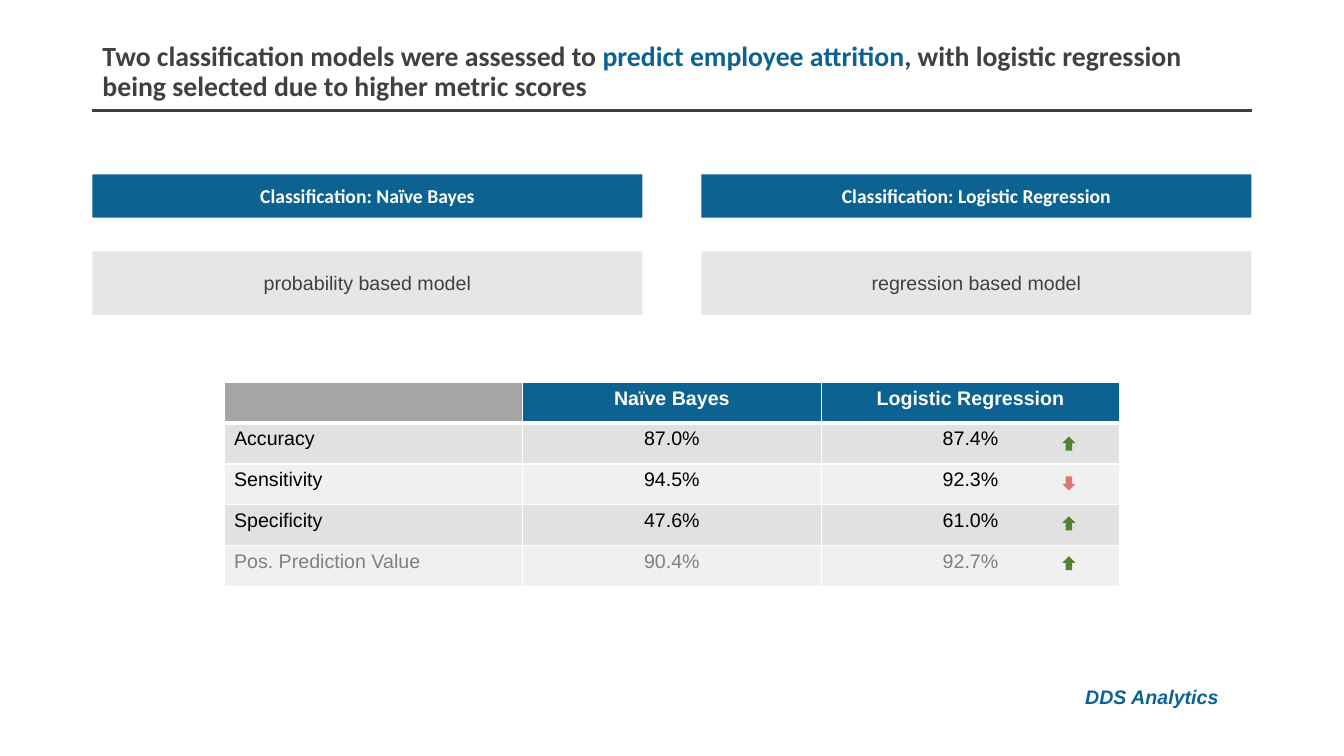
from dataclasses import dataclass

from lxml import etree
from pptx import Presentation
from pptx.dml.color import RGBColor
from pptx.enum.shapes import MSO_CONNECTOR, MSO_SHAPE
from pptx.enum.text import MSO_ANCHOR, MSO_AUTO_SIZE, PP_ALIGN
from pptx.oxml.ns import qn
from pptx.util import Pt

LEFT, CENTER = PP_ALIGN.LEFT, PP_ALIGN.CENTER
MIDDLE, TOP = MSO_ANCHOR.MIDDLE, MSO_ANCHOR.TOP
RECT, ARROW = MSO_SHAPE.RECTANGLE, MSO_SHAPE.DOWN_ARROW
STRAIGHT = MSO_CONNECTOR.STRAIGHT
NO_FIT = MSO_AUTO_SIZE.NONE


@dataclass(frozen=True)
class Theme:
    blue: str = "0C6291"
    dark: str = "404040"
    white: str = "FFFFFF"
    black: str = "000000"
    muted: str = "808080"
    pale: str = "E7E6E6"
    corner: str = "A5A5A5"
    bands: tuple = ("E1E1E1", "F0F0F0")
    up: str = "548235"
    down: str = "C00000"
    head: str = "Calibri"
    body: str = "Arial"
    title: float = 19.8
    text: float = 14


T = Theme()

MODELS = [
    ("Classification: Naïve Bayes", "probability based model"),
    ("Classification: Logistic Regression", "regression based model"),
]
SCORES = [
    ("", "Naïve Bayes", "Logistic Regression"),
    ("Accuracy", "87.0%", "87.4%"),
    ("Sensitivity", "94.5%", "92.3%"),
    ("Specificity", "47.6%", "61.0%"),
    ("Pos. Prediction Value", "90.4%", "92.7%"),
]
RISES = [True, False, True, True]


def rgb(code):
    return RGBColor.from_string(code)


def write(frame, *parts, size=T.text, font=T.body, bold=False, italic=False,
          align=LEFT, anchor=TOP, spacing=None):
    """Fill a text frame with (text, colour) parts in one paragraph."""
    frame.word_wrap = True
    frame.vertical_anchor = anchor
    para = frame.paragraphs[0]
    para.alignment = align
    para.line_spacing = spacing
    for text, color in parts:
        run = para.add_run()
        run.text = text
        run.font.size = Pt(size)
        run.font.name = font
        run.font.bold = bold
        run.font.italic = italic
        run.font.color.rgb = rgb(color)


def block(slide, kind, box, fill):
    shape = slide.shapes.add_shape(kind, *map(Pt, box))
    shape.shadow.inherit = False
    shape.fill.solid()
    shape.fill.fore_color.rgb = rgb(fill)
    shape.line.fill.background()
    return shape


def border(cell, side, width):
    """Give one side of a cell a white line."""
    line = etree.Element(qn("a:ln" + side), w=str(Pt(width)))
    fill = etree.SubElement(line, qn("a:solidFill"))
    etree.SubElement(fill, qn("a:srgbClr"), val=T.white)
    return line


def header(slide, box):
    x, y, w, h = box
    title = slide.shapes.title
    title.left, title.top, title.width, title.height = map(Pt, (x, y, w, 45))
    title.text_frame.auto_size = NO_FIT
    write(title.text_frame,
          ("Two classification models were assessed to ", T.dark),
          ("predict employee attrition", T.blue),
          (", with logistic regression being selected due to higher metric "
           "scores", T.dark),
          size=T.title, font=T.head, bold=True, anchor=MIDDLE, spacing=0.9)
    # Rule under the title
    rule = slide.shapes.add_connector(
        STRAIGHT, Pt(x), Pt(y + h), Pt(x + w), Pt(y + h))
    rule.line.color.rgb = rgb(T.dark)
    rule.line.width = Pt(2.25)
    etree.SubElement(rule._element.spPr, qn("a:effectLst"))


def model(slide, box, name, note):
    x, y, w, h = box
    bar = block(slide, RECT, (x, y, w, 31), T.blue)
    write(bar.text_frame, (name, T.white), font=T.head, bold=True,
          align=CENTER, anchor=MIDDLE)
    panel = block(slide, RECT, (x, y + h - 45.5, w, 45.5), T.pale)
    write(panel.text_frame, (note, T.dark), align=CENTER, anchor=MIDDLE)


def style(cell, row, col):
    """Set the fill and borders of one table cell."""
    cell.fill.solid()
    if row:
        fill = T.bands[(row - 1) % 2]
    else:
        fill = T.blue if col else T.corner
    cell.fill.fore_color.rgb = rgb(fill)
    props = cell._tc.get_or_add_tcPr()
    for i, side in enumerate("LRTB"):
        thick = (row, side) in ((0, "B"), (1, "T"))
        props.insert(i, border(cell, side, 3 if thick else 1))


def scores(slide, box):
    x, y, w, h = box
    rows, cols = len(SCORES), len(SCORES[0])
    table = slide.shapes.add_table(rows, cols, *map(Pt, box)).table
    for r, line in enumerate(SCORES):
        for c, text in enumerate(line):
            cell = table.cell(r, c)
            style(cell, r, c)
            if text:
                color = T.white if r == 0 else T.black
                if r == rows - 1:
                    color = T.muted
                write(cell.text_frame, (text, color), bold=r == 0,
                      align=CENTER if c else LEFT)
    # Arrows beside the last column's values
    for i, rise in enumerate(RISES):
        spot = (x + w - 41.2, y + 38.8 + 28.5 * i, 9.4, 10)
        mark = block(slide, ARROW, spot, T.up if rise else T.down)
        if rise:
            mark.rotation = 180
        else:
            tint = mark._element.spPr.find(".//" + qn("a:srgbClr"))
            etree.SubElement(tint, qn("a:alpha"), val="50000")


def footer(slide, box):
    label = slide.shapes.add_textbox(*map(Pt, box))
    write(label.text_frame, ("DDS Analytics", T.blue), bold=True, italic=True)


def main():
    deck = Presentation()
    deck.slide_width, deck.slide_height = Pt(960), Pt(540)
    slide = deck.slides.add_slide(deck.slide_layouts[5])
    left, width, gap = 66, 828, 42
    half = (width - gap) / 2
    header(slide, (left, 29, width, 50))
    for i, (name, note) in enumerate(MODELS):
        model(slide, (left + i * (half + gap), 124.5, half, 100.5), name, note)
    scores(slide, (160, 273, 640, 146))
    footer(slide, (768, 486, 121, 24))
    deck.save("out.pptx")


if __name__ == "__main__":
    main()
